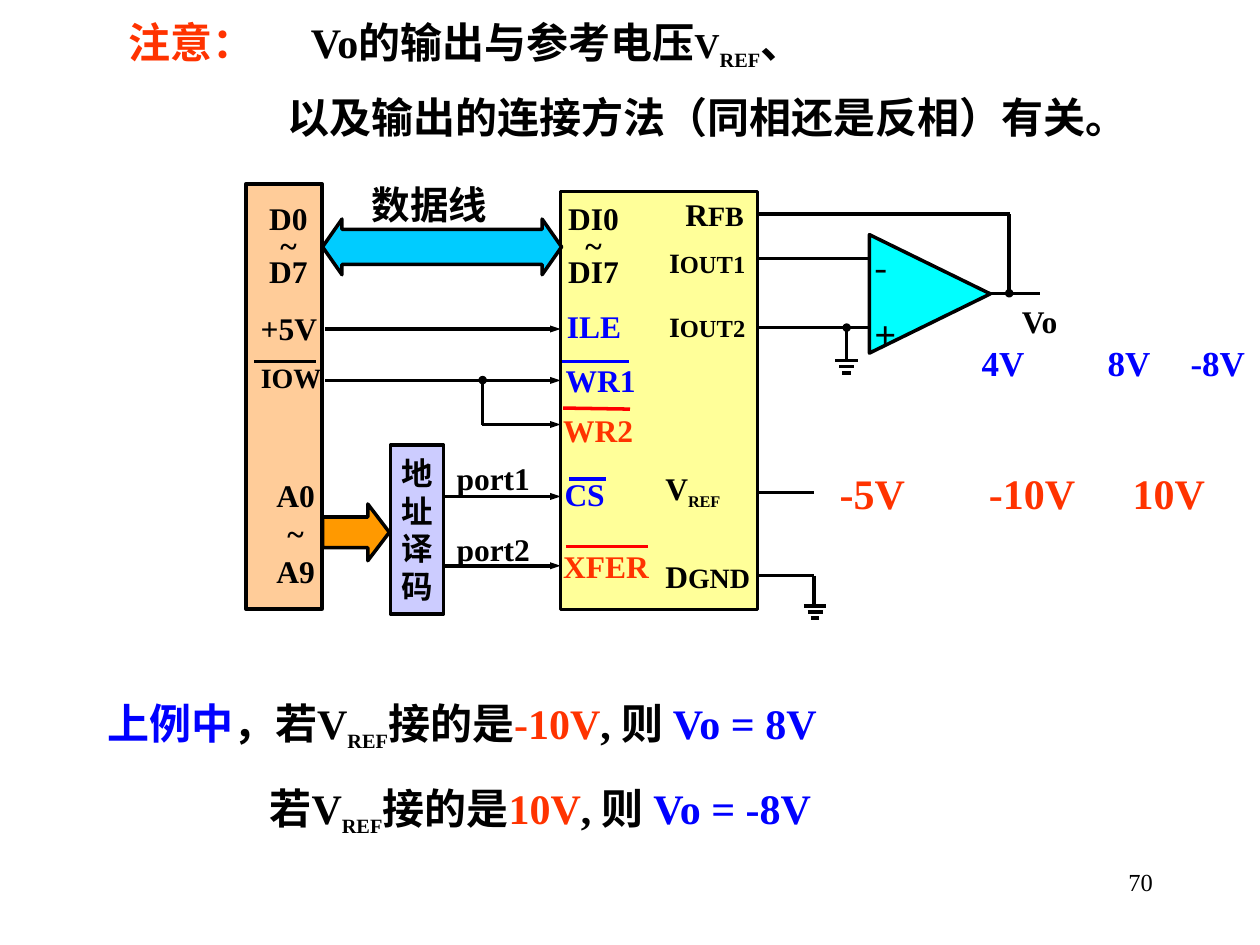
from lxml.etree import SubElement
from pptx import Presentation
from pptx.dml.color import RGBColor
from pptx.enum.shapes import MSO_CONNECTOR, MSO_SHAPE
from pptx.enum.text import MSO_ANCHOR, PP_ALIGN
from pptx.oxml.ns import qn
from pptx.util import Pt

COLORS = {
    "black": "000000", "red": "FF3300", "bar": "FF0000", "blue": "0000FF",
    "chip": "FFFF99", "bus": "FFCC99", "data": "00CCFF", "amplifier": "00FFFF",
    "decoder": "CCCCFF", "address": "FF9900",
}
CENTER = PP_ALIGN.CENTER
LEFT = PP_ALIGN.LEFT


class SlideBuilder:
    latin = "Times New Roman"
    chinese = "Noto Sans CJK SC"
    line_width = 2

    def __init__(self, slide):
        self.slide = slide
        self.shapes = slide.shapes

    def color(self, name):
        return RGBColor.from_string(COLORS[name])

    def set_text(self, frame, paragraphs, size=18, color="black", align=LEFT,
                 leading=1.2, anchor=MSO_ANCHOR.TOP, after=0, bold=True, font=None):
        frame_format = {
            "word_wrap": True, "vertical_anchor": anchor, "margin_left": 0,
            "margin_right": 0, "margin_top": 0, "margin_bottom": 0,
        }
        for name, value in frame_format.items():
            setattr(frame, name, value)
        paragraph_format = {
            "alignment": align, "line_spacing": Pt(round(size * leading, 1)),
            "space_before": Pt(0), "space_after": Pt(after),
        }
        for index, runs in enumerate(paragraphs):
            paragraph = frame.paragraphs[0] if index == 0 else frame.add_paragraph()
            for name, value in paragraph_format.items():
                setattr(paragraph, name, value)
            for text, changes in runs:
                self.add_run(paragraph, text, {
                    "size": size, "color": color, "bold": bold,
                    "name": font or self.latin, **changes})

    def add_run(self, paragraph, text, style):
        run = paragraph.add_run()
        run.text = text
        font_format = {"size": Pt(style["size"]), "bold": style["bold"], "name": style["name"]}
        for name, value in font_format.items():
            setattr(run.font, name, value)
        run.font.color.rgb = self.color(style["color"])
        properties = run._r.get_or_add_rPr()
        SubElement(properties, qn("a:ea")).set("typeface", self.chinese)
        if "baseline" in style:
            properties.set("baseline", str(style["baseline"] * 1000))

    def heading(self, box, paragraphs, tab, indent, **style):
        title = self.shapes.title
        for name, value in zip(("left", "top", "width", "height"), box):
            setattr(title, name, Pt(value))
        self.set_text(title.text_frame, paragraphs, **style)
        first, second = (p._p.get_or_add_pPr() for p in title.text_frame.paragraphs)
        tabs = SubElement(first, qn("a:tabLst"))
        stop = SubElement(tabs, qn("a:tab"))
        stop.set("pos", str(Pt(tab)))
        stop.set("algn", "l")
        second.set("marL", str(Pt(indent)))

    def text(self, box, paragraphs, **style):
        if isinstance(paragraphs, str):
            paragraphs = [[(line, {})] for line in paragraphs.split("\n")]
        shape = self.shapes.add_textbox(*map(Pt, box))
        self.set_text(shape.text_frame, paragraphs, **style)

    def shape(self, kind, box, fill, adjustments=(), rotation=0):
        shape = self.shapes.add_shape(kind, *map(Pt, box))
        shape.shadow.inherit = False
        shape.rotation = rotation
        shape.fill.solid()
        shape.fill.fore_color.rgb = self.color(fill)
        shape.line.color.rgb = self.color("black")
        shape.line.width = Pt(self.line_width)
        for index, value in enumerate(adjustments):
            shape.adjustments[index] = value
        return shape

    def line(self, points, color="black", arrow=False):
        connector = self.shapes.add_connector(MSO_CONNECTOR.STRAIGHT, *map(Pt, points))
        connector.line.color.rgb = self.color(color)
        connector.line.width = Pt(self.line_width)
        properties = connector._element.spPr
        SubElement(properties, qn("a:effectLst"))
        if arrow:
            tail = SubElement(properties.find(qn("a:ln")), qn("a:tailEnd"))
            for name, value in {"type": "triangle", "w": "sm", "len": "med"}.items():
                tail.set(name, value)

    def ground(self, x, y):
        for step, half in enumerate((6.5, 4.3, 2.5)):
            self.line((x - half, y + 3.5 * step, x + half, y + 3.5 * step))

    def dot(self, x, y):
        self.shape(MSO_SHAPE.OVAL, (x - 1.4, y - 1.4, 2.8, 2.8), "black")


def mixed(first, rest, size, **changes):
    return [[(first, {}), (rest, {"size": size, **changes})]]


def draw_blocks(builder):
    builder.shape(MSO_SHAPE.RECTANGLE, (320.4, 109.4, 112.5, 239), "chip")
    builder.shape(MSO_SHAPE.RECTANGLE, (140.6, 105, 43.4, 243), "bus")
    builder.shape(MSO_SHAPE.LEFT_RIGHT_ARROW, (184.3, 125.2, 136.6, 31.8), "data", (0.63, 0.35))
    builder.shape(MSO_SHAPE.RIGHT_ARROW, (184.3, 288, 38.2, 32.4), "address", (0.54, 0.38))
    builder.shape(MSO_SHAPE.ISOSCELES_TRIANGLE, (497.5, 133.4, 67.7, 69.1), "amplifier", (0.5,), 90)
    decoder = builder.shape(MSO_SHAPE.RECTANGLE, (223.2, 254.2, 30.2, 96.7), "decoder")
    builder.set_text(decoder.text_frame, [[(character, {})] for character in "地址译码"],
                     align=CENTER, anchor=MSO_ANCHOR.MIDDLE)


def draw_wires(builder):
    wires = [
        (433, 281.5, 465.2, 281.5), (433, 329, 465.2, 329), (465.2, 329, 465.2, 346.3),
        (433.5, 147.8, 496, 147.8), (434, 187.2, 497, 187.2), (433.5, 122.4, 577, 122.4),
        (576.7, 122.4, 576.7, 167), (566, 167.8, 594, 167.8),
        (483.8, 187.2, 483.8, 206), (275.6, 217, 275.6, 242.6), (145.4, 206.6, 180.7, 206.6),
    ]
    for wire in wires:
        builder.line(wire)
    for start, y in ((186, 188), (186, 217.4), (275.6, 242.6), (253.5, 283.7), (253.5, 323.3)):
        builder.line((start, y, 320.4, y), arrow=True)
    bars = [
        (321.1, 206.6, 359.3, 206.6, "blue"), (325.4, 273.6, 346.5, 273.6, "blue"),
        (321.8, 233.2, 360, 233.8, "bar"), (323.3, 312.3, 370.1, 312.3, "bar"),
    ]
    for *points, color in bars:
        builder.line(points, color)
    for x, y in ((465.8, 346.3), (483.8, 206)):
        builder.ground(x, y)
    for x, y in ((576.7, 167.6), (483.8, 187.2), (275.8, 217.2)):
        builder.dot(x, y)


def draw_labels(builder):
    builder.text((212.4, 102.2, 83, 28), "数据线", size=22, leading=1.25, font=builder.chinese)
    builder.text((321.8, 120.5, 34.6, 50), "DI0\n~\nDI7", align=CENTER, leading=0.84)
    builder.text((151.9, 120.5, 25.9, 50), "D0\n~\nD7", align=CENTER, leading=0.84)
    builder.text((157, 272.2, 23.8, 65), "A0\n~\nA9", align=CENTER)
    builder.text((138.2, 206, 45.4, 22), "IOW", size=16, align=PP_ALIGN.RIGHT)
    pins = [
        (149, 176.4, "+5V", "black"), (324, 175.7, "ILE", "blue"), (323.3, 206.6, "WR1", "blue"),
        (321.8, 235, "WR2", "red"), (322.6, 271.4, "CS", "blue"), (321.8, 312.5, "XFER", "red"),
        (583.9, 172.8, "Vo", "black"),
    ]
    for left, top, name, color in pins:
        builder.text((left, top, 58, 22), name, color=color)
    builder.text((499.7, 177.1, 15, 18), "+", size=22)
    builder.text((499.7, 138.2, 15, 18), "-", size=22, leading=1.25, bold=False, font=builder.chinese)
    for top, name in ((140.4, "OUT1"), (177.1, "OUT2")):
        builder.text((382.3, top, 60, 22), mixed("I", name, 14), size=16)
    builder.text((391.7, 111.6, 42, 22), mixed("R", "FB", 16))
    builder.text((380.2, 318.2, 58, 22), mixed("D", "GND", 16))
    builder.text((380.2, 270, 58, 22), mixed("V", "REF", 16, baseline=-25))
    for top, name in ((262.1, "port1"), (303.1, "port2")):
        builder.text((252.7, top, 58.3, 22), name, align=CENTER)
    for middle, value in ((573.1, "4V"), (645.1, "8V"), (695.9, "-8V")):
        builder.text((middle - 20, 195.1, 40, 24), value, size=20, color="blue", align=CENTER)
    for middle, value in ((498.5, "-5V"), (589.7, "-10V"), (667.8, "10V")):
        builder.text((middle - 30, 267.1, 60, 30), value, size=24, color="red", align=CENTER)


def draw_conclusions(builder):
    rows = [
        (61.2, 398.9, [("上例中", {"color": "blue"}), ("，", {})], "-10V", "8V"),
        (154, 447.1, [], "10V", "-8V"),
    ]
    for left, top, opening, reference, result in rows:
        runs = opening + [
            ("若V", {}), ("REF", {"size": 20, "baseline": -25}), ("接的是", {}),
            (reference, {"color": "red"}), (", 则 ", {}), (f"Vo = {result}", {"color": "blue"}),
        ]
        builder.text((left, top, 495, 32), [runs], size=24, leading=1.3)


def main():
    presentation = Presentation()
    presentation.slide_width, presentation.slide_height = Pt(720), Pt(540)
    builder = SlideBuilder(presentation.slides.add_slide(presentation.slide_layouts[5]))
    builder.heading((73.4, 9.4, 580, 98), [
        [("注意：", {"color": "red"}), ("\tVo的输出与参考电压", {}), ("V", {"size": 20}),
         ("REF", {"size": 20, "baseline": -25}), ("、", {})],
        [("以及输出的连接方法（同相还是反相）有关。", {})],
    ], tab=104.3, indent=91, size=24, leading=1.3, after=9)
    draw_blocks(builder)
    draw_wires(builder)
    draw_labels(builder)
    draw_conclusions(builder)
    builder.text((523.4, 495.4, 135.4, 20), "70", size=14, align=PP_ALIGN.RIGHT, bold=False)
    presentation.save("out.pptx")


if __name__ == "__main__":
    main()
